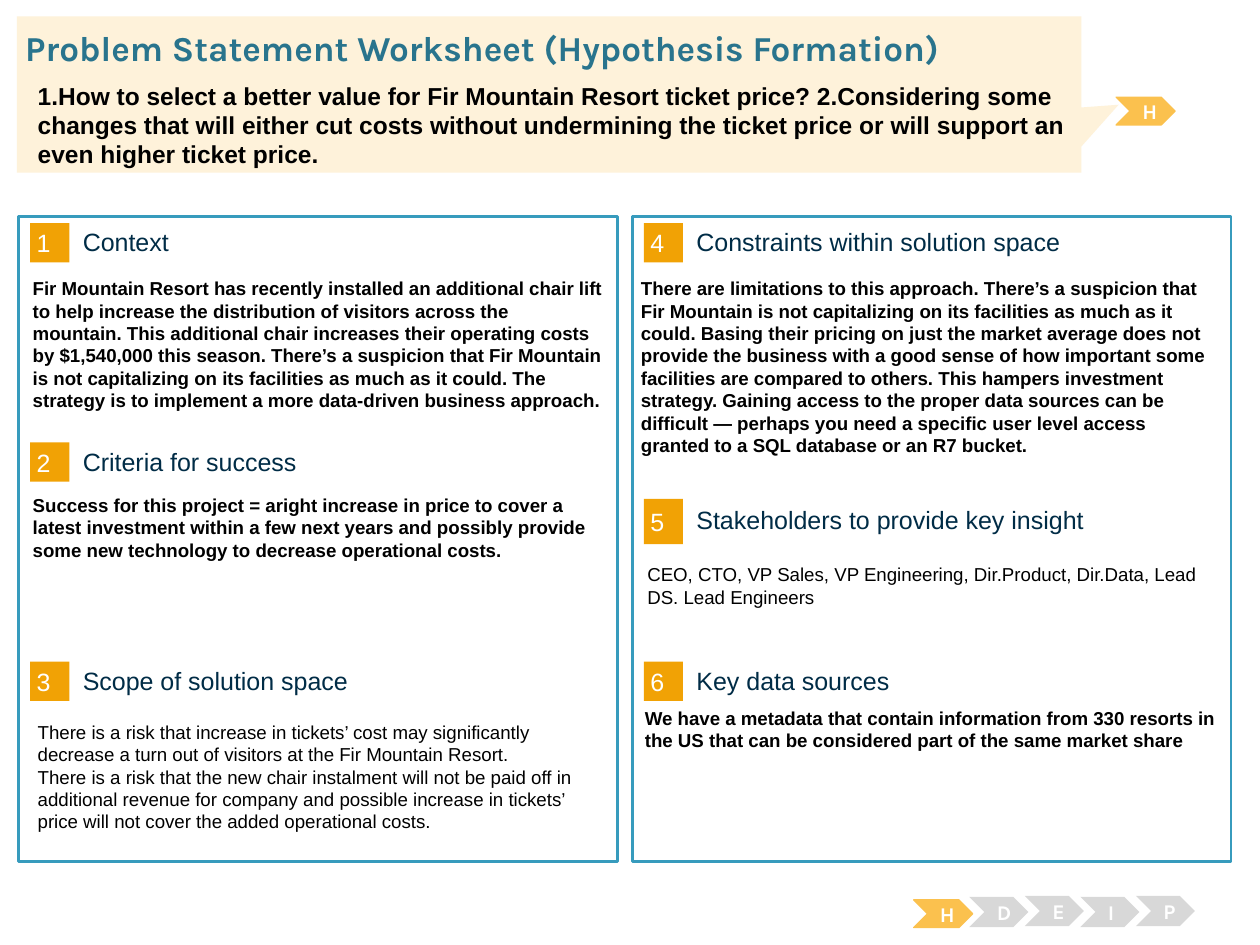
"""Build the problem statement worksheet slide."""
from pptx import Presentation
from pptx import util as u
from pptx.dml.color import RGBColor
from pptx.enum import shapes, text

Cm, Pt = u.Cm, u.Pt
WHITE = RGBColor(0xFF, 0xFF, 0xFF)
BLACK = RGBColor(0x00, 0x00, 0x00)
NAVY = RGBColor(0x00, 0x2C, 0x46)
TEAL = RGBColor(0x29, 0x74, 0x8D)
FRAME_BLUE = RGBColor(0x37, 0x9B, 0xBD)
ORANGE = RGBColor(0xF1, 0xA2, 0x05)
AMBER = RGBColor(0xFB, 0xC1, 0x4E)
CREAM = RGBColor(0xFE, 0xF2, 0xDA)
GREY = RGBColor(0xD8, 0xD8, 0xD8)

COLUMN_GAP = 12.37
BADGE = 0.79
HEADING_SIZE = 14.3
BODY_SIZE = 10.7

# column, badge top, badge height, heading top, heading height, heading
SECTIONS = [
    (0, 4.5, BADGE, 4.57, 0.61, "Context"),
    (0, 8.92, BADGE, 8.99, 0.61, "Criteria for success"),
    (0, 13.34, BADGE, 13.41, 0.61, "Scope of solution space"),
    (1, 4.5, BADGE, 4.57, 0.61, "Constraints within solution space"),
    (1, 10.06, 0.91, 9.96, 1.02, "Stakeholders to provide key insight"),
    (1, 13.34, BADGE, 13.41, 0.61, "Key data sources"),
]

# left, top, height, bold, paragraphs
ANSWERS = [
    (0.41, 5.46, 3.45, True, [
        "Fir Mountain Resort has recently installed an additional chair lift to help "
        "increase the distribution of visitors across the mountain. This additional "
        "chair increases their operating costs by $1,540,000 this season. There’s a "
        "suspicion that Fir Mountain is not capitalizing on its facilities as much as "
        "it could. The strategy is to implement a more data-driven business approach."]),
    (0.41, 9.83, 3.91, True, [
        "Success for this project = aright increase in price to cover a latest "
        "investment within a few next years and possibly provide some new technology "
        "to decrease operational costs."]),
    (0.51, 14.4, 2.72, False, [
        "There is a risk that increase in tickets’ cost may significantly decrease a "
        "turn out of visitors at the Fir Mountain Resort.",
        "There is a risk that the new chair instalment will not be paid off in "
        "additional revenue for company and possible increase in tickets’ price will "
        "not cover the added operational costs."]),
    (12.67, 5.46, 3.0, True, [
        "There are limitations to this approach. There’s a suspicion that Fir Mountain "
        "is not capitalizing on its facilities as much as it could. Basing their "
        "pricing on just the market average does not provide the business with a good "
        "sense of how important some facilities are compared to others. This hampers "
        "investment strategy. Gaining access to the proper data sources can be "
        "difficult — perhaps you need a specific user level access granted to a SQL "
        "database or an R7 bucket."]),
    (12.8, 11.23, 1.65, False, [
        "CEO, CTO, VP Sales, VP Engineering, Dir.Product, Dir.Data, Lead DS. "
        "Lead Engineers"]),
    (12.75, 14.12, 3.0, True, [
        "We have a metadata that contain information from 330 resorts in the US that "
        "can be considered part of the same market share"]),
]

QUESTION = (
    "1.How to select a better value for Fir Mountain Resort ticket price? "
    "2.Considering some changes that will either cut costs without undermining the "
    "ticket price or will support an even higher ticket price.")

LATER_STAGES = [("D", 18.08), ("E", 18.06), ("I", 18.08), ("P", 18.06)]


def write(frame, paragraphs, size, color, bold=False, font="Arial",
          align=text.PP_ALIGN.LEFT, anchor=text.MSO_ANCHOR.TOP, inset=None):
    """Fill a text frame with uniformly styled paragraphs."""
    frame.word_wrap = True
    frame.vertical_anchor = anchor
    if inset is not None:
        frame.margin_left = frame.margin_right = Cm(inset)
        frame.margin_top = frame.margin_bottom = Cm(inset)
    frame.text = "\n".join(paragraphs)
    for paragraph in frame.paragraphs:
        paragraph.alignment = align
        paragraph.font.name = font
        paragraph.font.size = Pt(size)
        paragraph.font.bold = bold
        paragraph.font.color.rgb = color


def add_text(slide, box, paragraphs, size, color, **style):
    """Add a wrapping text box at (left, top, width, height)."""
    textbox = slide.shapes.add_textbox(*map(Cm, box))
    write(textbox.text_frame, paragraphs, size, color, **style)


def add_block(slide, kind, box, fill, line=None, line_width=0.75):
    """Add a flat filled shape with an optional outline."""
    block = slide.shapes.add_shape(kind, *map(Cm, box))
    block.shadow.inherit = False
    block.fill.solid()
    block.fill.fore_color.rgb = fill
    if line is None:
        block.line.fill.background()
    else:
        block.line.color.rgb = line
        block.line.width = Pt(line_width)
    return block


def add_section(slide, number, column, badge_top, badge_height,
                heading_top, heading_height, heading):
    """Add a numbered badge and its heading."""
    offset = column * COLUMN_GAP
    badge = add_block(slide, shapes.MSO_SHAPE.RECTANGLE,
                      (0.61 + offset, badge_top, BADGE, badge_height), ORANGE)
    write(badge.text_frame, [str(number)], HEADING_SIZE, WHITE,
          anchor=text.MSO_ANCHOR.MIDDLE, inset=0.13)
    add_text(slide, (1.67 + offset, heading_top, 9.98, heading_height), [heading],
             HEADING_SIZE, NAVY, anchor=text.MSO_ANCHOR.MIDDLE, inset=0)


def add_stage(slide, letter, left, top, current=False):
    """Add a lettered process chevron, highlighted when current."""
    height = 0.56 if current else 0.61
    stage = add_block(slide, shapes.MSO_SHAPE.CHEVRON, (left, top, 1.19, height),
                      AMBER if current else GREY, AMBER if current else None)
    write(stage.text_frame, [letter], 12, WHITE, bold=True, font="Karla",
          align=text.PP_ALIGN.CENTER, anchor=text.MSO_ANCHOR.MIDDLE)


def add_banner(slide):
    """Add the callout with the title and the key question."""
    callout = add_block(slide, shapes.MSO_SHAPE.RECTANGULAR_CALLOUT,
                        (0.34, 0.33, 21.46, 3.15), CREAM)
    callout.adjustments[0] = 0.535
    callout.adjustments[1] = 0.066
    add_text(slide, (0.51, 0.53, 24.43, 0.86),
             ["Problem Statement Worksheet (Hypothesis Formation)"],
             20, TEAL, bold=True, font="Karla", inset=0)
    add_text(slide, (0.51, 1.5, 21.74, 1.37), [QUESTION], 14, BLACK, bold=True)


def main():
    """Create and save the worksheet."""
    deck = Presentation()
    deck.slide_width, deck.slide_height = Cm(25.4), Cm(19.05)
    slide = deck.slides.add_slide(deck.slide_layouts[6])

    for column in range(2):
        add_block(slide, shapes.MSO_SHAPE.RECTANGLE,
                  (0.38 + column * COLUMN_GAP, 4.37, 12.07, 13), WHITE, FRAME_BLUE, 1.5)
    for number, section in enumerate(SECTIONS, 1):
        add_section(slide, number, *section)
    for left, top, height, bold, paragraphs in ANSWERS:
        add_text(slide, (left, top, 12.01, height), paragraphs, BODY_SIZE, BLACK, bold=bold)

    add_stage(slide, "H", 18.42, 18.14, current=True)
    for step, (letter, top) in enumerate(LATER_STAGES, 1):
        add_stage(slide, letter, 18.42 + 1.12 * step, top)
    add_stage(slide, "H", 22.5, 1.96, current=True)
    add_banner(slide)

    deck.save("out.pptx")


if __name__ == "__main__":
    main()
